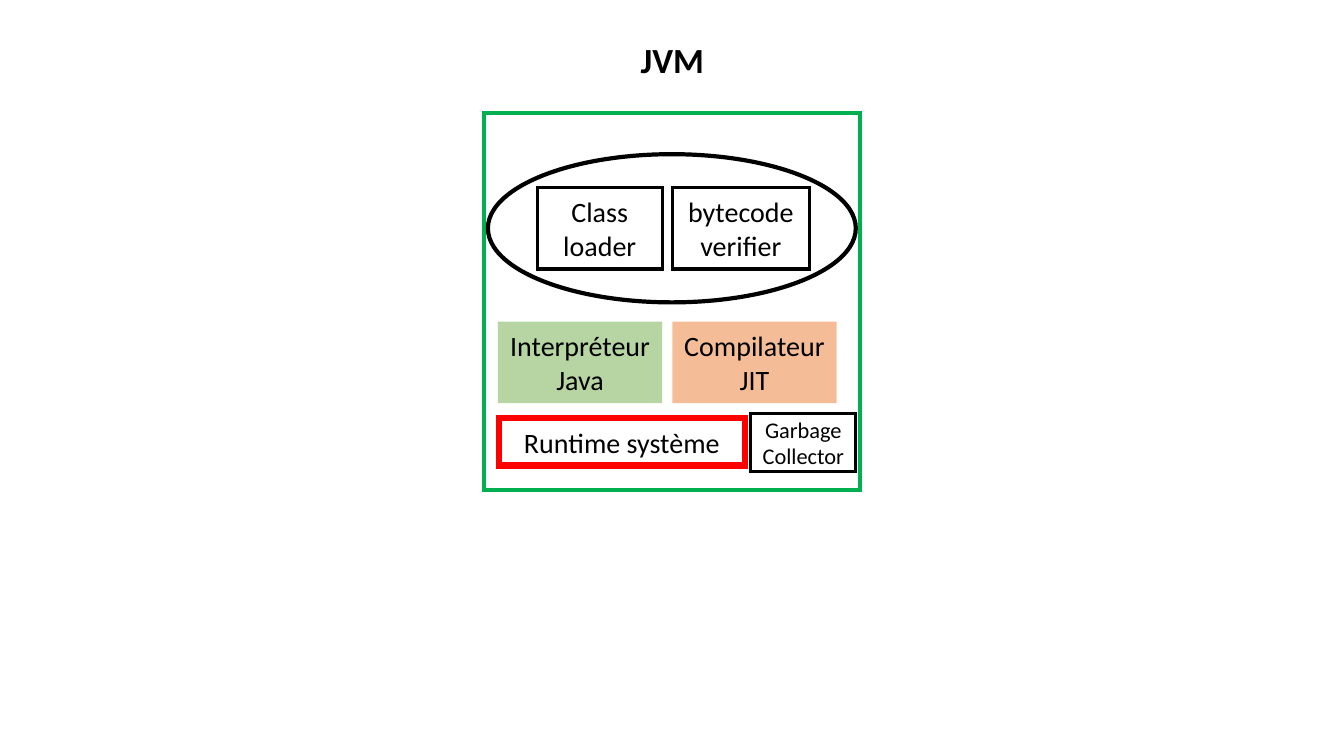
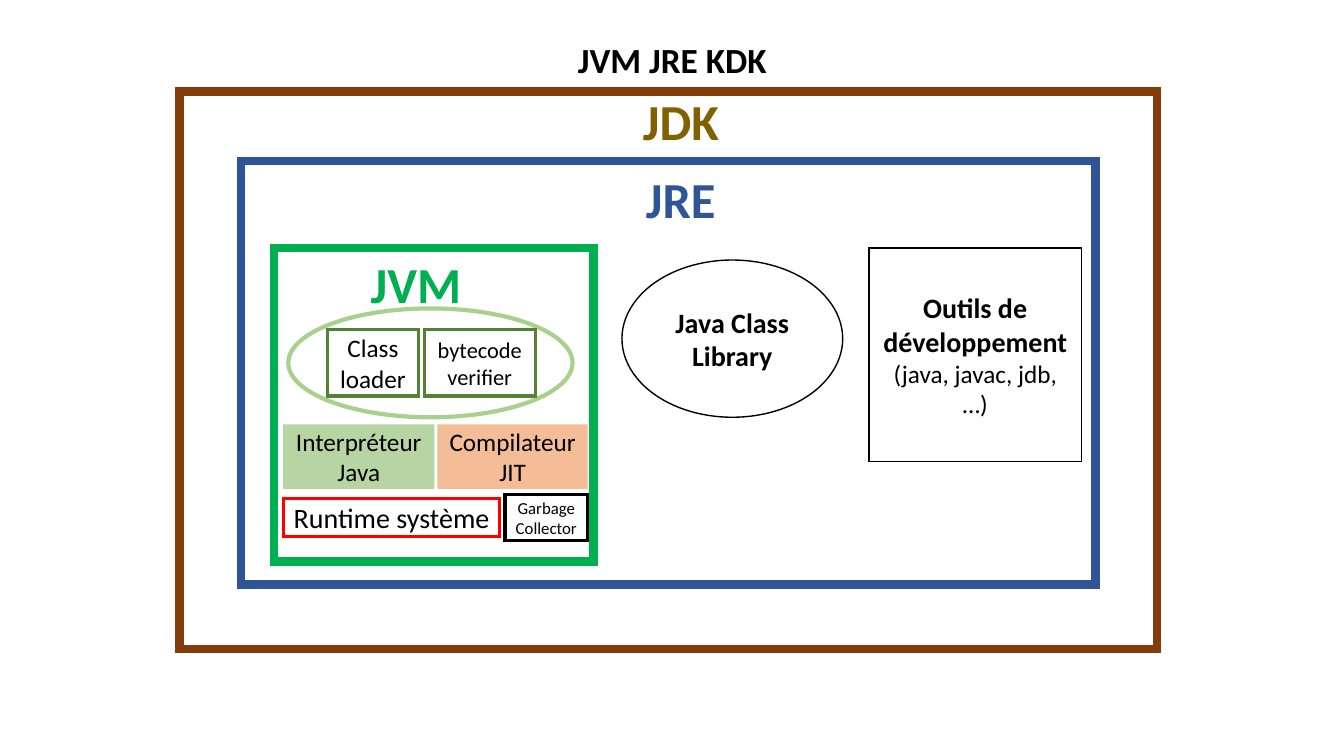
from pptx import Presentation
from pptx.dml.color import RGBColor
from pptx.enum import shapes, text
from pptx.oxml import ns
from lxml import etree

PX = 9144
FONT = "Calibri"
HUES = {
    "white": "FFFFFF", "black": "000000", "green": "00B050", "red": "FF0000",
    "brown": "843C0B", "blue": "2F5597", "gold": "806000", "lime": "A9D18E",
    "moss": "548235", "leaf": "70AD47", "peach": "ED7D31",
}
RECT = shapes.MSO_SHAPE.RECTANGLE
OVAL = shapes.MSO_SHAPE.OVAL
TITLE = (92, 41, 1150, 42)

PARTS = {
    "ring": dict(form=OVAL),
    "load": dict(words="Class loader"),
    "check": dict(words="bytecode verifier"),
    "jit": dict(words="Compilateur JIT", fill="peach", alpha=50),
    "run": dict(words="Runtime système", line="red"),
    "java": dict(words="Interpréteur Java", fill="leaf", alpha=50),
    "waste": dict(words="Garbage Collector", line="black"),
}

DECK = [
    dict(
        title="JVM",
        frames=[dict(at=(480, 112, 373, 374), line="green", width=3)],
        labels=[],
        parts={
            "ring": dict(at=(484, 153, 365, 147), line="black", width=3),
            "load": dict(at=(533, 186, 124, 81), line="black", width=2.25, size=20),
            "check": dict(at=(667, 186, 136, 81), line="black", width=2.25, size=20),
            "jit": dict(at=(667, 319, 163, 81), size=20),
            "run": dict(at=(495, 415, 244, 47), width=4.5, size=20),
            "java": dict(at=(494, 319, 163, 81), size=20),
            "waste": dict(at=(745, 410, 104, 58), width=2.25, size=16),
        },
    ),
    dict(
        title="JVM JRE KDK",
        frames=[
            dict(at=(178, 91, 970, 553), line="brown", width=6),
            dict(at=(239, 160, 848, 420), line="blue", width=6),
            dict(at=(272, 246, 317, 311), line="green", width=6),
            dict(at=(617, 258, 219, 156), form=OVAL, line="black", width=1,
                 words="Java Class Library", size=20, bold=True),
            dict(at=(862, 246, 211, 212), line="black", width=1,
                 words="Outils de développement ", size=20, bold=True,
                 more=("(java, javac, jdb, …)", 18)),
        ],
        labels=[
            ("JRE", (631, 162, 92, 71), "blue"),
            ("JVM", (358, 246, 114, 71), "green"),
            ("JDK", (628, 84, 99, 71), "gold"),
        ],
        parts={
            "ring": dict(at=(286, 306, 282, 108), line="lime", width=3),
            "load": dict(at=(325, 327, 90, 66), line="moss", width=2.25, size=18),
            "check": dict(at=(421, 327, 110, 66), line="moss", width=2.25, size=16),
            "jit": dict(at=(434, 421, 149, 64), size=18),
            "run": dict(at=(281, 495, 215, 37), width=2.25, size=20),
            "java": dict(at=(281, 421, 150, 64), size=18),
            "waste": dict(at=(501, 491, 82, 45), width=2.25, size=12),
        },
    ),
]


def put(item, values):
    for name, value in values.items():
        setattr(item, name, value)


def hue(name):
    return RGBColor.from_string(HUES[name])


def place(at):
    return [n * PX for n in at]


def add_run(para, words, size, bold=False, ink="black"):
    run = para.add_run()
    run.text = words
    put(run.font, dict(name=FONT, size=int(size * 12700), bold=bold))
    run.font.color.rgb = hue(ink)


def add_label(slide, words, at, ink, size=36, wrap=False,
              align=text.PP_ALIGN.LEFT, anchor=text.MSO_ANCHOR.TOP, lead=1.0):
    frame = slide.shapes.add_textbox(*place(at)).text_frame
    put(frame, dict(word_wrap=wrap, vertical_anchor=anchor))
    para = frame.paragraphs[0]
    put(para, dict(alignment=align, line_spacing=lead))
    add_run(para, words, size, True, ink)


def add_box(slide, at, form=RECT, fill="white", alpha=None, line=None, width=0,
            words="", size=20, bold=False, more=None):
    box = slide.shapes.add_shape(form, *place(at))
    box.shadow.inherit = False
    box.fill.solid()
    box.fill.fore_color.rgb = hue(fill)
    if alpha:
        tint = box.fill._xPr.find(".//" + ns.qn("a:srgbClr"))
        etree.SubElement(tint, ns.qn("a:alpha")).set("val", str(alpha * 1000))
    if line:
        box.line.color.rgb = hue(line)
        box.line.width = int(width * 12700)
        edge = box.line._get_or_add_ln()
        etree.SubElement(edge, ns.qn("a:miter")).set("lim", "800000")
    else:
        box.line.fill.background()
    if words:
        frame = box.text_frame
        put(frame, dict(word_wrap=True, vertical_anchor=text.MSO_ANCHOR.MIDDLE,
                        margin_top=0, margin_bottom=0))
        para = frame.paragraphs[0]
        para.alignment = text.PP_ALIGN.CENTER
        add_run(para, words, size, bold)
        if more:
            add_run(para, *more)


def main():
    deck = Presentation()
    put(deck, dict(slide_width=12192000, slide_height=6858000))
    for page in DECK:
        slide = deck.slides.add_slide(deck.slide_layouts[6])
        add_label(slide, page["title"], TITLE, "black", 25.2, True,
                  text.PP_ALIGN.CENTER, text.MSO_ANCHOR.MIDDLE, 0.9)
        for frame in page["frames"]:
            add_box(slide, **frame)
        for label in page["labels"]:
            add_label(slide, *label)
        for name, look in page["parts"].items():
            add_box(slide, **PARTS[name], **look)
    deck.save("out.pptx")


if __name__ == "__main__":
    main()
